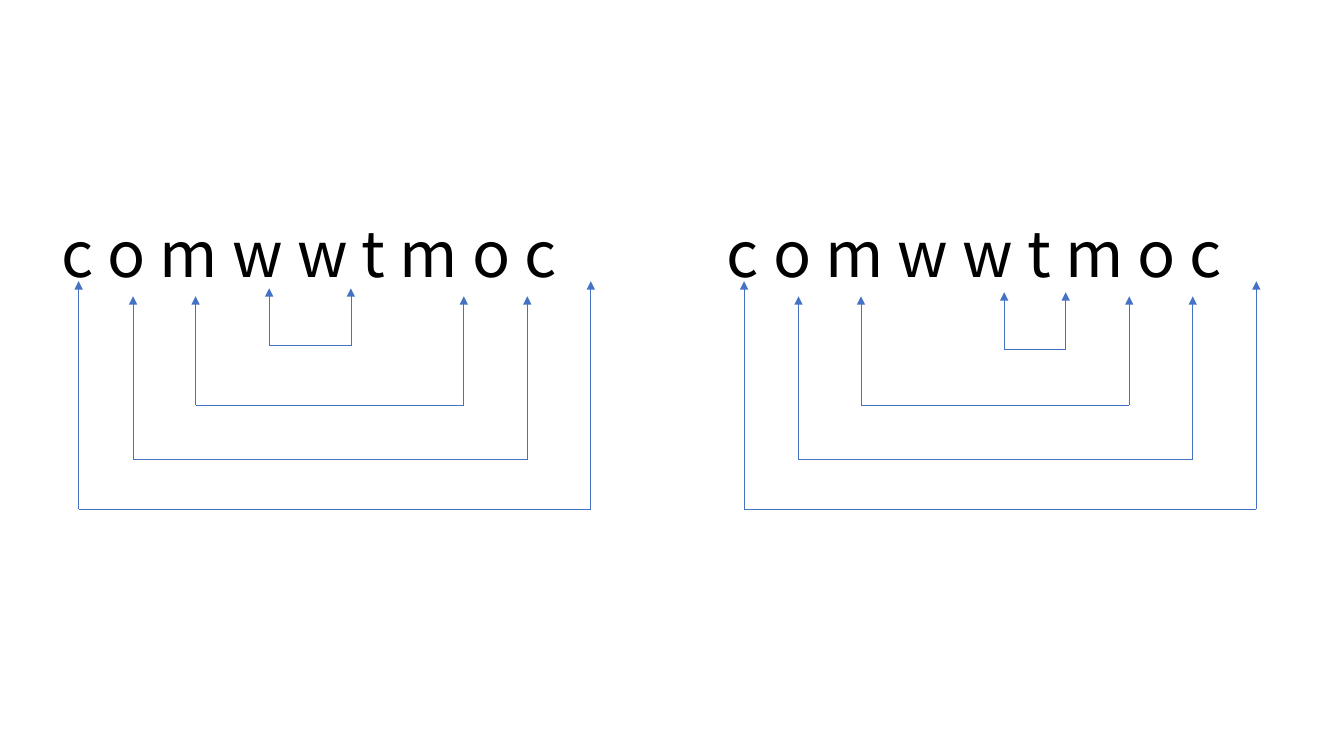
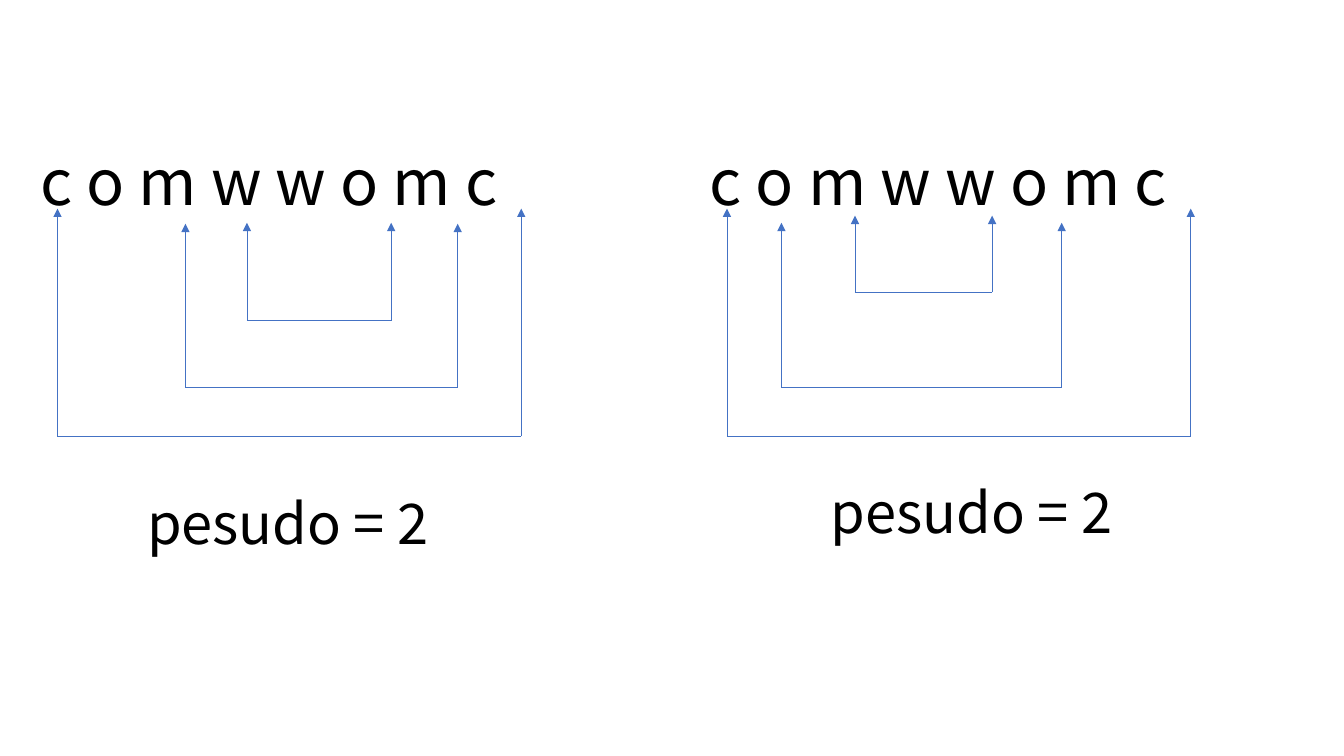
from dataclasses import dataclass

from lxml.etree import SubElement
from pptx import Presentation
from pptx.dml.color import RGBColor
from pptx.enum.shapes import MSO_CONNECTOR as Connector
from pptx.enum.text import MSO_AUTO_SIZE as AutoSize
from pptx.oxml.ns import qn
from pptx.util import Inches, Pt

COLORS = {"background": "FFFFFF", "text": "000000", "arrow": "4472C4"}
FONT = "Noto Sans CJK KR"
LINE_WIDTH = 0.5


@dataclass
class Bracket:
    """Pair of up arrows joined at the base, measured from its panel's corner."""
    left: float
    right: float
    tip: float
    base: float


WORD_NINE = "c o m w w t m o c"
WORD_EIGHT = "c o m w w o m c"
CAPTION = "pesudo = 2"
NINE_OUTER = [
    Bracket(0.27, 5.35, 0.71, 2.97),
    Bracket(0.81, 4.72, 0.86, 2.48),
    Bracket(1.43, 4.09, 0.86, 1.94),
]
EIGHT_OUTER = [Bracket(0.27, 4.87, 0.71, 2.97)]


def add_text(slide, text, left, top, width, height, size, wrap):
    """Add one line of text in a box that grows with it."""
    frame = slide.shapes.add_textbox(
        Inches(left), Inches(top), Inches(width), Inches(height)
    ).text_frame
    frame.word_wrap = wrap
    frame.auto_size = AutoSize.SHAPE_TO_FIT_TEXT
    run = frame.paragraphs[0].add_run()
    run.text = text
    run.font.name = FONT
    run.font.size = Pt(size)
    run.font.color.rgb = RGBColor.from_string(COLORS["text"])


def add_line(group, start, end, arrow=False):
    """Add a thin straight line, with an arrowhead at its end if asked."""
    x1, y1, x2, y2 = (Inches(value) for value in (*start, *end))
    connector = group.shapes.add_connector(Connector.STRAIGHT, x1, y1, x2, y2)
    connector.line.color.rgb = RGBColor.from_string(COLORS["arrow"])
    connector.line.width = Pt(LINE_WIDTH)
    if arrow:
        SubElement(connector.line._get_or_add_ln(), qn("a:tailEnd"), type="triangle")
    SubElement(connector._element.spPr, qn("a:effectLst"))


def add_bracket(slide, left, top, bracket):
    """Add a grouped bracket that points at two letters of a panel."""
    group = slide.shapes.add_group_shape()
    base = top + bracket.base
    sides = [left + bracket.left, left + bracket.right]
    for x in sides:
        add_line(group, (x, base), (x, top + bracket.tip), arrow=True)
    add_line(group, (sides[0], base), (sides[1], base))


def add_panel(slide, left, top, width, word, brackets):
    """Add a spaced word with the brackets that compare its letters."""
    add_text(slide, word, left, top, width, 0.86, 45, wrap=True)
    for bracket in brackets:
        add_bracket(slide, left, top, bracket)


def add_blank_slide(presentation):
    """Add an empty slide with the shared background."""
    slide = presentation.slides.add_slide(presentation.slide_layouts[6])
    fill = slide.background.fill
    fill.solid()
    fill.fore_color.rgb = RGBColor.from_string(COLORS["background"])
    return slide


def add_nine_letter_slide(presentation):
    """Compare two inner pairs of the nine-letter word."""
    slide = add_blank_slide(presentation)
    panels = [
        (0.51, Bracket(2.16, 2.97, 0.78, 1.35)),
        (7.11, Bracket(2.85, 3.46, 0.82, 1.39)),
    ]
    for left, inner in panels:
        add_panel(slide, left, 2.08, 5.98, WORD_NINE, NINE_OUTER + [inner])


def add_eight_letter_slide(presentation):
    """Compare two ways to skip a letter of the eight-letter word."""
    slide = add_blank_slide(presentation)
    top = 1.36
    skip_left = [Bracket(1.54, 4.24, 0.86, 2.48), Bracket(2.15, 3.58, 0.85, 1.82)]
    skip_right = [Bracket(0.81, 3.59, 0.85, 2.48), Bracket(1.54, 2.9, 0.78, 1.54)]
    panels = [(0.3, skip_left, 1.06, 3.44), (6.94, skip_right, 1.2, 3.33)]
    for left, inner, caption_x, caption_y in panels:
        add_panel(slide, left, top, 5.17, WORD_EIGHT, EIGHT_OUTER + inner)
        add_text(slide, CAPTION, left + caption_x, top + caption_y,
                 3.18, 0.77, 40, wrap=False)


def main():
    """Build and save the presentation."""
    presentation = Presentation()
    presentation.slide_width = Inches(13.33)
    presentation.slide_height = Inches(7.5)
    add_nine_letter_slide(presentation)
    add_eight_letter_slide(presentation)
    presentation.save("out.pptx")


main()
